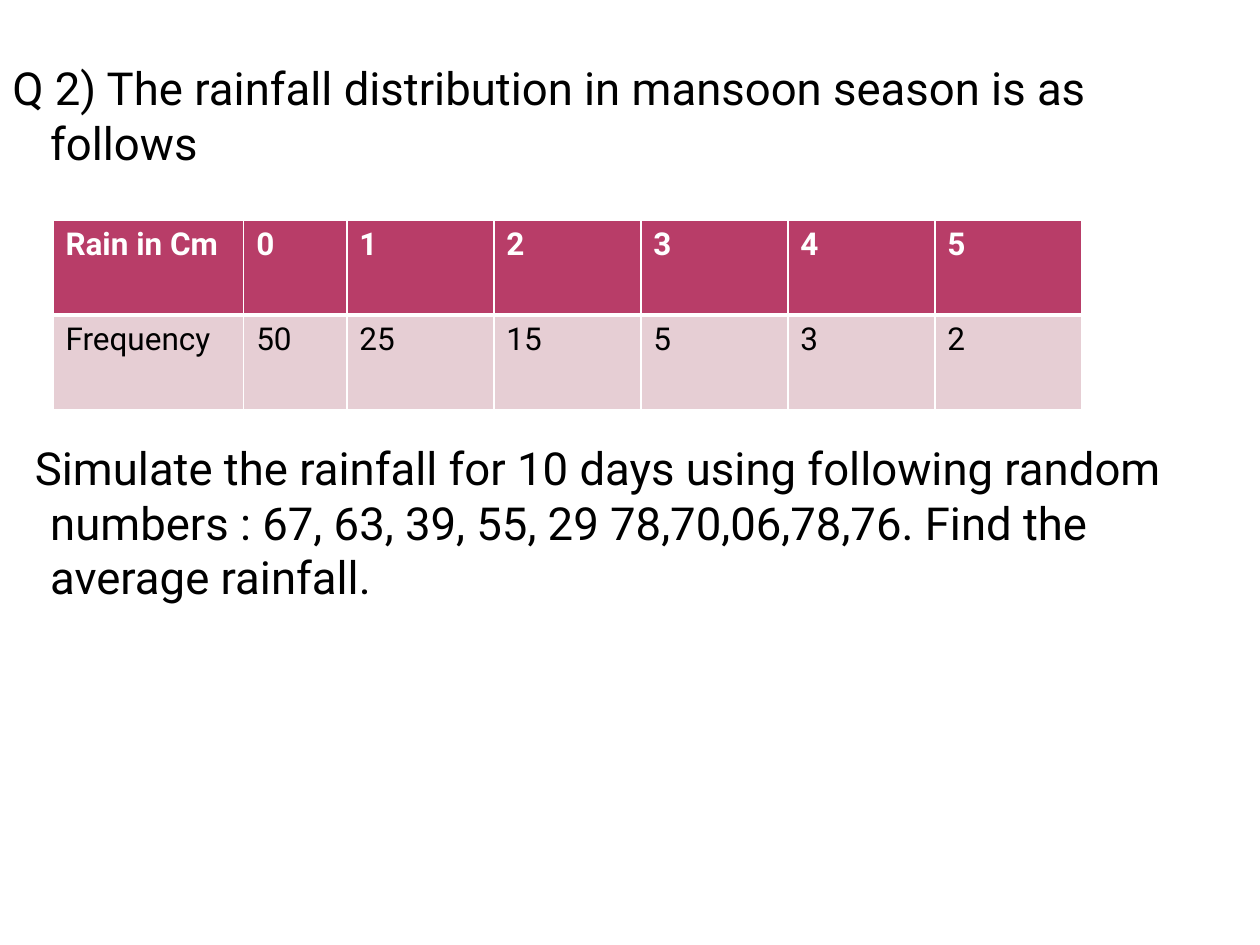
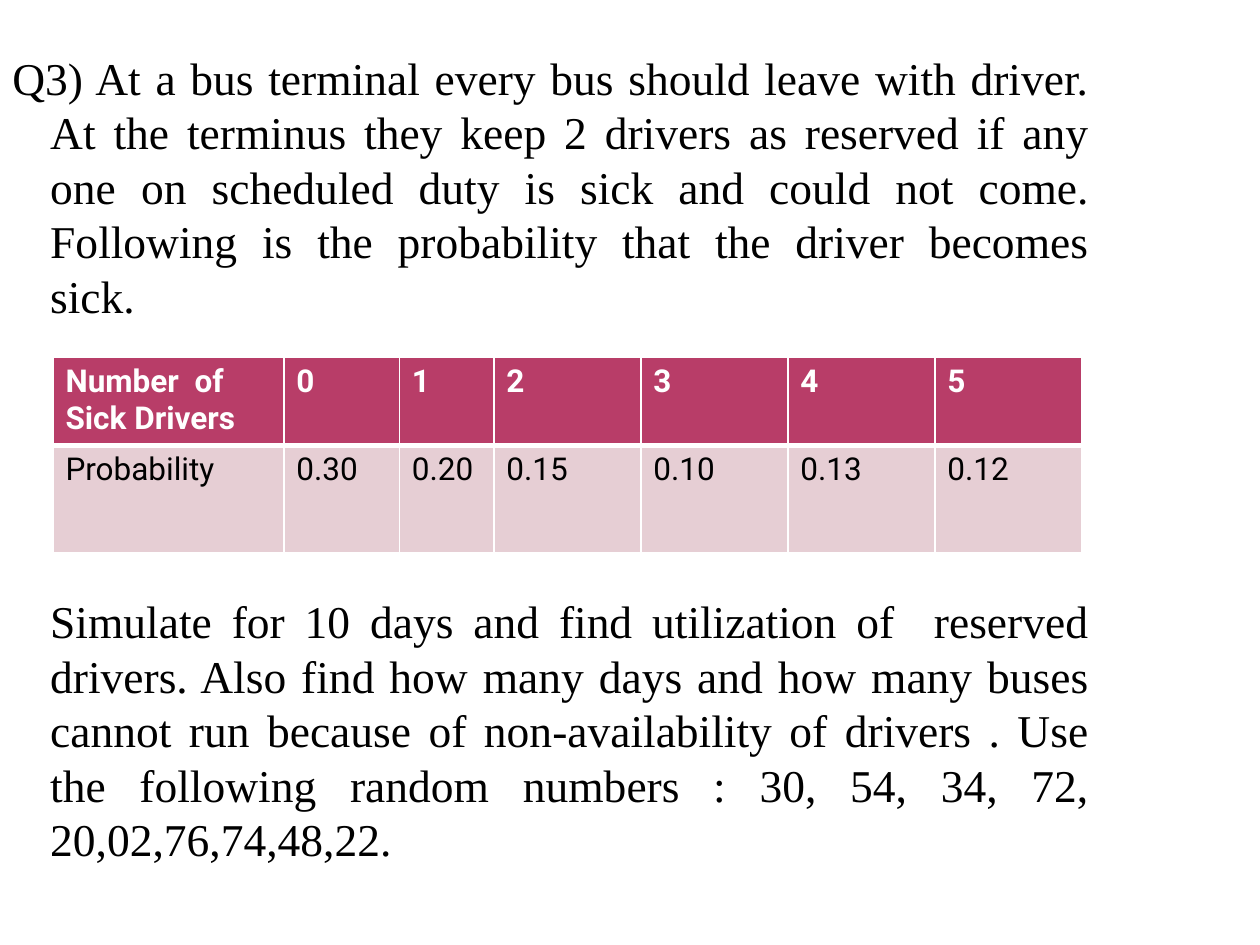
import pptx
import pptx.util
import pptx.dml.color
import pptx.enum.text
import pptx.oxml.ns
import lxml.etree

Pt = pptx.util.Pt
ALIGN = pptx.enum.text.PP_ALIGN

# Shared colours and measures
BLACK = pptx.dml.color.RGBColor(0x00, 0x00, 0x00)
WHITE = pptx.dml.color.RGBColor(0xFF, 0xFF, 0xFF)
HEADER = pptx.dml.color.RGBColor(0xB8, 0x3D, 0x68)
BAND = pptx.dml.color.RGBColor(0xE6, 0xCE, 0xD4)
LINE = 31.15
TABLE_GAP = 4 * LINE + 30
HANG = 21.6
TABLE_LEFT = 30.24
WIDE = 84

# Each question: text box, two paragraphs around a table
questions = [
    dict(font="Roboto", align=ALIGN.LEFT, top=31, width=678, height=478,
         task_indent=-8.7, table_top=126, rows=[54, 54],
         cols=[109, 59] + [WIDE] * 5,
         intro="Q 2) The rainfall distribution in mansoon season is as follows",
         task="Simulate the rainfall for 10 days using following random numbers : "
              "67, 63, 39, 55, 29 78,70,06,78,76. Find the average rainfall.",
         cells=[["Rain in Cm", "0", "1", "2", "3", "4", "5"],
                ["Frequency", "50", "25", "15", "5", "3", "2"]]),
    dict(font="Times New Roman", align=ALIGN.JUSTIFY, top=25, width=630, height=484,
         task_indent=0, table_top=204, rows=[48, 61.2],
         cols=[132, 66, 54] + [WIDE] * 4,
         intro="Q3) At a bus terminal every bus should leave with driver. "
               "At the terminus they keep 2 drivers as reserved if any one on "
               "scheduled duty is sick and could not come. Following is the "
               "probability that the driver becomes sick.",
         task="Simulate for 10 days and find utilization of  reserved drivers. "
              "Also find how many days and how many buses cannot run because of "
              "non-availability of drivers . Use the following random numbers : "
              "30, 54, 34, 72, 20,02,76,74,48,22.",
         cells=[["Number  of Sick Drivers", "0", "1", "2", "3", "4", "5"],
                ["Probability", "0.30", "0.20", "0.15", "0.10", "0.13", "0.12"]]),
]


def format_run(r, font, size, color, bold=False):
    r.font.name = font
    r.font.size = Pt(size)
    r.font.color.rgb = color
    r.font.bold = bold


def add_borders(cell, bottom):
    tc_pr = cell._tc.get_or_add_tcPr()
    for side, width in (("L", 1), ("R", 1), ("T", 1), ("B", bottom)):
        ln = lxml.etree.SubElement(tc_pr, pptx.oxml.ns.qn("a:ln" + side), w=str(Pt(width)))
        fill = lxml.etree.SubElement(ln, pptx.oxml.ns.qn("a:solidFill"))
        lxml.etree.SubElement(fill, pptx.oxml.ns.qn("a:srgbClr"), val=str(WHITE))


prs = pptx.Presentation()
prs.slide_width = Pt(720)
prs.slide_height = Pt(540)

for q in questions:
    s = prs.slides.add_slide(prs.slide_layouts[6])

    # Question text, with room left for the table
    sp = s.shapes.add_textbox(Pt(0), Pt(q["top"]), Pt(q["width"]), Pt(q["height"]))
    tf = sp.text_frame
    tf.word_wrap = True
    tf.text = q["intro"]
    tf.add_paragraph().text = q["task"]
    for p, indent, before in zip(tf.paragraphs, (-HANG, q["task_indent"]), (0, TABLE_GAP)):
        p.alignment = q["align"]
        p.line_spacing = Pt(LINE)
        p.space_before = Pt(before)
        p_pr = p._p.get_or_add_pPr()
        p_pr.set("marL", str(Pt(HANG)))
        p_pr.set("indent", str(Pt(indent)))
        format_run(p.runs[0], q["font"], 26, BLACK)

    # Distribution table
    table = s.shapes.add_table(2, len(q["cols"]), Pt(TABLE_LEFT), Pt(q["table_top"]),
                               Pt(sum(q["cols"])), Pt(sum(q["rows"]))).table
    for column, width in zip(table.columns, q["cols"]):
        column.width = Pt(width)
    for i, row in enumerate(table.rows):
        row.height = Pt(q["rows"][i])
        is_header = i == 0
        for cell, text in zip(row.cells, q["cells"][i]):
            add_borders(cell, 3 if is_header else 1)
            cell.fill.solid()
            cell.fill.fore_color.rgb = HEADER if is_header else BAND
            cell.text_frame.text = text
            format_run(cell.text_frame.paragraphs[0].runs[0], "Roboto", 18,
                       WHITE if is_header else BLACK, is_header)

prs.save("out.pptx")
